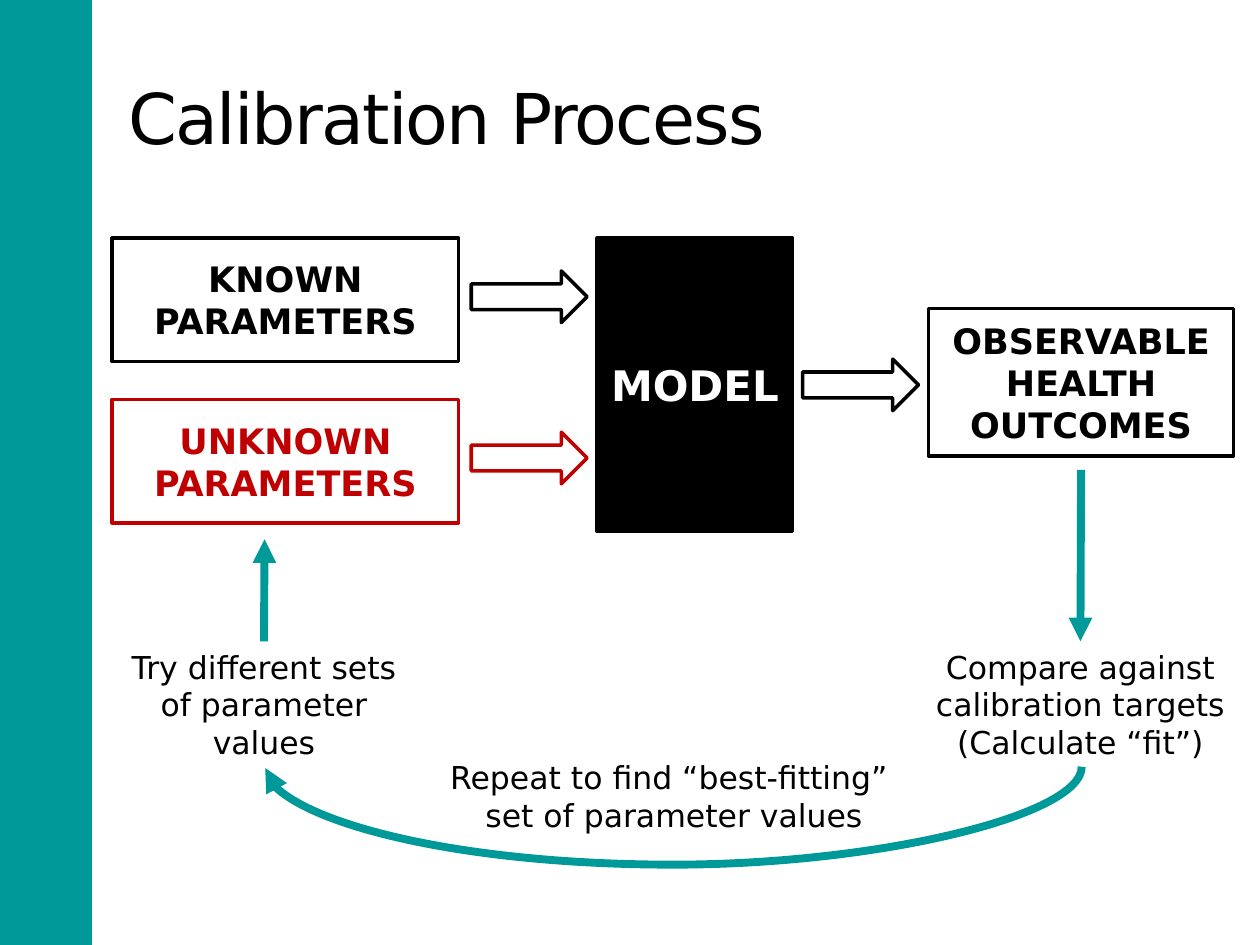
import pptx
import pptx.util
import pptx.dml.color
import pptx.enum.shapes
import pptx.enum.text
import pptx.oxml
import pptx.oxml.ns

Inches = pptx.util.Inches
Pt = pptx.util.Pt
Shape = pptx.enum.shapes.MSO_SHAPE
Link = pptx.enum.shapes.MSO_CONNECTOR
Align = pptx.enum.text.PP_ALIGN
Anchor = pptx.enum.text.MSO_ANCHOR

TEAL, RED, BLACK, WHITE = "009999", "C00000", "000000", "FFFFFF"
NS = pptx.oxml.ns.nsdecls("a")


def rgb(code):
    return pptx.dml.color.RGBColor.from_string(code)


def write(shape, text, size=18, color=BLACK, bold=False,
          align=Align.CENTER, anchor=Anchor.TOP):
    """Fill the shape with text, one paragraph for each line."""
    frame = shape.text_frame
    frame.word_wrap = True
    frame.vertical_anchor = anchor
    frame.text = text
    for para in frame.paragraphs:
        para.alignment = align
        font = para.runs[0].font
        font.name = "DejaVu Sans"
        font.size = Pt(size)
        font.bold = bold
        font.color.rgb = rgb(color)


deck = pptx.Presentation()
deck.slide_width, deck.slide_height = Inches(10), Inches(7.5)
slide = deck.slides.add_slide(deck.slide_layouts[6])
shapes = slide.shapes

# Side band and title
band = shapes.add_shape(Shape.RECTANGLE, 0, 0, Inches(0.73), Inches(7.5))
band.shadow.inherit = False
band.fill.solid()
band.fill.fore_color.rgb = rgb(TEAL)
band.line.fill.background()

title = shapes.add_textbox(Inches(0.92), Inches(0.3), Inches(8.33), Inches(1.25))
write(title, "Calibration Process", size=40, align=Align.LEFT, anchor=Anchor.MIDDLE)
title.text_frame.paragraphs[0].runs[0].font._element.set("spc", "-100")

# Boxes and block arrows: kind, left, top, width, height, fill, line, text, size, ink
box, arrow = Shape.RECTANGLE, Shape.RIGHT_ARROW
parts = [
    (box, 4.74, 1.89, 1.55, 2.33, BLACK, BLACK, "MODEL", 24, WHITE),
    (arrow, 3.74, 2.15, 0.92, 0.41, WHITE, BLACK, "", 0, BLACK),
    (arrow, 3.74, 3.43, 0.92, 0.41, WHITE, RED, "", 0, RED),
    (arrow, 6.37, 2.85, 0.92, 0.41, WHITE, BLACK, "", 0, BLACK),
    (box, 7.37, 2.45, 2.42, 1.17, WHITE, BLACK, "OBSERVABLE HEALTH OUTCOMES", 20, BLACK),
    (box, 0.89, 1.89, 2.75, 0.98, WHITE, BLACK, "KNOWN PARAMETERS", 20, BLACK),
    (box, 0.89, 3.17, 2.75, 0.98, WHITE, RED, "UNKNOWN PARAMETERS", 20, RED),
]
for kind, left, top, width, height, fill, line, text, size, ink in parts:
    part = shapes.add_shape(kind, Inches(left), Inches(top), Inches(width), Inches(height))
    part.shadow.inherit = False
    part.fill.solid()
    part.fill.fore_color.rgb = rgb(fill)
    part.line.color.rgb = rgb(line)
    part.line.width = Pt(2)
    if text:
        write(part, text, size=size, color=ink, bold=True, anchor=Anchor.MIDDLE)

# Step notes
notes = []
for left, top, width, height, text in [
    (7.24, 5.09, 2.67, 1.01, "Compare against calibration targets\n(Calculate “fit”)"),
    (0.89, 5.09, 2.41, 1.01, "Try different sets of parameter values"),
    (3.45, 5.97, 3.8, 0.71, "Repeat to find “best-fitting” \nset of parameter values"),
]:
    note = shapes.add_textbox(Inches(left), Inches(top), Inches(width), Inches(height))
    write(note, text)
    notes.append(note)
compare, retry, repeat = notes

# Feedback loop
down = shapes.add_connector(Link.STRAIGHT, Inches(8.58), Inches(3.73), Inches(8.58), Inches(5.09))
down.end_connect(compare, 0)
up = shapes.add_connector(Link.STRAIGHT, Inches(2.1), Inches(5.09), Inches(2.1), Inches(4.28))
up.begin_connect(retry, 0)
# The curve is a thin upright connector turned by 90 degrees
curve = shapes.add_connector(Link.CURVE, Inches(5.34), Inches(2.85), Inches(5.35), Inches(9.33))
curve._element.spPr.xfrm.set("rot", "5400000")
bend = curve._element.spPr.find(pptx.oxml.ns.qn("a:prstGeom")).get_or_add_avLst()
bend.append(pptx.oxml.parse_xml(f'<a:gd {NS} name="adj1" fmla="val 7900000"/>'))

for link in (down, up, curve):
    link.line.color.rgb = rgb(TEAL)
    link.line.width = Pt(4.5)
    link.line._get_or_add_ln().append(pptx.oxml.parse_xml(f'<a:tailEnd {NS} type="triangle"/>'))
    link._element.spPr.append(pptx.oxml.parse_xml(f"<a:effectLst {NS}/>"))

deck.save("out.pptx")
